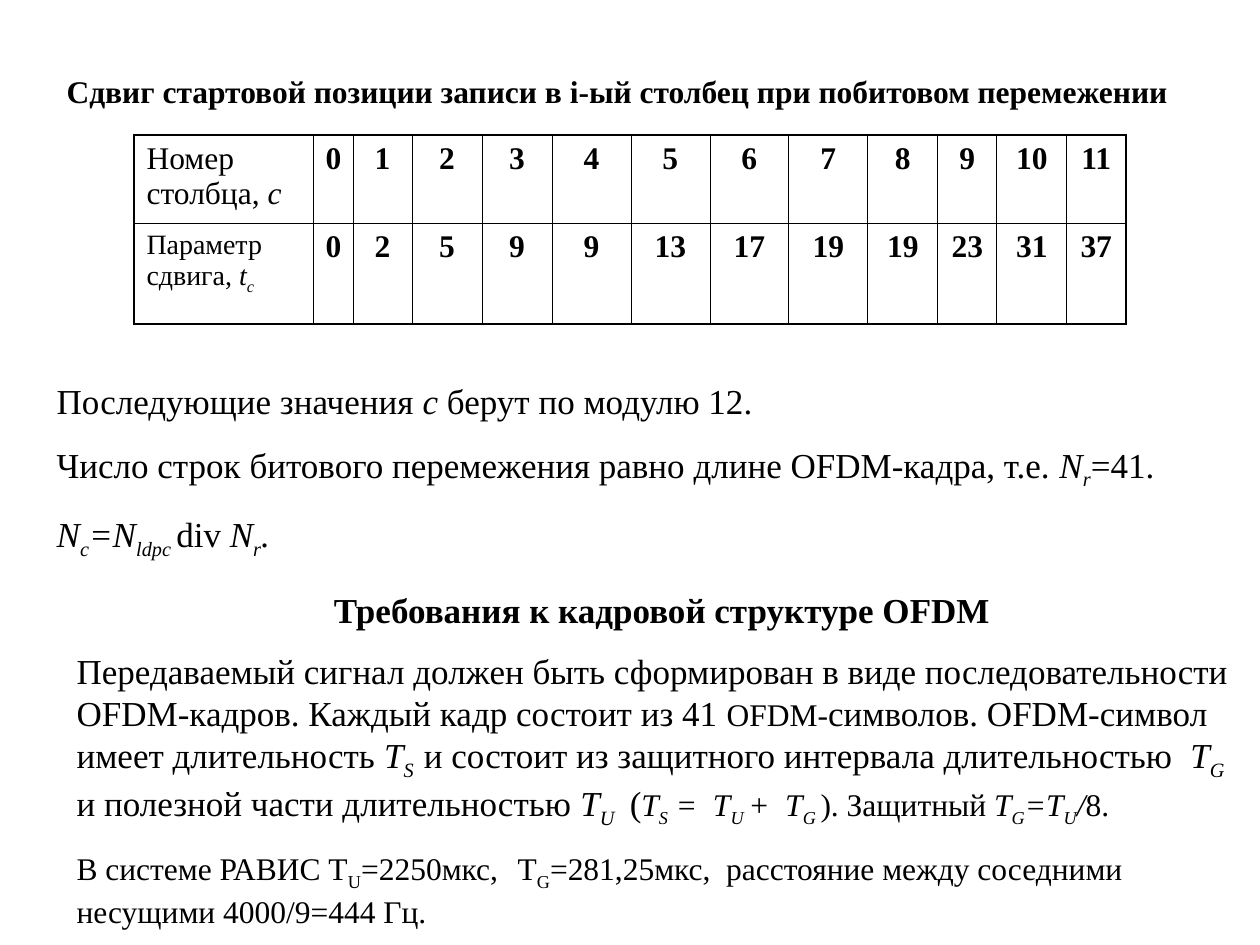
from lxml import etree
from pptx import Presentation
from pptx.dml.color import RGBColor
from pptx.enum.text import MSO_ANCHOR, MSO_AUTO_SIZE, PP_ALIGN
from pptx.oxml.ns import qn
from pptx.util import Pt

LEFT, MID = PP_ALIGN.LEFT, PP_ALIGN.CENTER
TOP = MSO_ANCHOR.TOP
GROW = MSO_AUTO_SIZE.SHAPE_TO_FIT_TEXT
FACE = "Times New Roman"
HUES = {"ink": "000000"}
PX = 914400 / 126
THIN, BOLD = 0.45, 1.08

# Run flags: b bold, i italic, s subscript, m 18 pt
TITLE = [(LEFT, 18, 11.2, [
    ("Сдвиг стартовой позиции записи в i-ый столбец при побитовом перемежении", "b")])]
NOTES = [
    (LEFT, 20, 12.5, [("Последующие значения ", ""), ("с ", "i"),
                      ("берут по модулю 12.", "")]),
    (LEFT, 20, 12.5, [
        ("Число строк битового перемежения равно длине OFDM-кадра, т.е. ", ""),
        ("N", "i"), ("r", "is"), ("=41.", "")]),
    (LEFT, 20, 12.5, [("N", "i"), ("c", "is"), ("=N", "i"), ("ldpc ", "is"),
                      ("div", ""), (" N", "i"), ("r", "is"), (".", "i")]),
]
FRAME = [
    (MID, 20, 12.5, [("Требования к кадровой структуре OFDM", "b")]),
    (LEFT, 20, 11.2, [
        ("Передаваемый сигнал должен быть сформирован в виде последовательности "
         "OFDM-кадров. Каждый кадр состоит из 41 ", ""),
        ("OFDM-", "m"), ("символов. OFDM-символ имеет длительность ", ""),
        ("T", "i"), ("S  ", "is"),
        ("и состоит из защитного интервала длительностью", ""),
        ("  T", "i"), ("G   ", "is"), ("и полезной части длительностью ", ""),
        ("T", "i"), ("U   ", "is"), ("(", ""),
        ("T", "im"), ("S", "ism"), (" =  T", "im"), ("U ", "ism"),
        ("+  T", "im"), ("G ", "ism"), ("). Защитный ", "m"),
        ("T", "im"), ("G", "ism"), ("=T", "im"), ("U", "ism"),
        ("/", "im"), ("8.", "m")]),
    (LEFT, 18, 11.2, [
        ("В системе РАВИС T", ""), ("U", "s"), ("=2250мкс,\tT", ""), ("G", "s"),
        ("=281,25мкс,  расстояние между соседними несущими 4000/9=444 Гц.", "")]),
]
TEXTS = [
    (0, (54, 66, 1150, 50), TITLE),
    (1, (44, 373, 1150, 194), NOTES),
    (2, (64, 582, 1196, 354), FRAME),
]
TAB = 452

HEADS = [
    (18, 4.5, [("Номер столбца, ", ""), ("с", "i")]),
    (16, 4, [("Параметр сдвига, ", ""), ("t", "i"), ("c", "is")]),
]
SHIFTS = [range(12), (0, 2, 5, 9, 9, 13, 17, 19, 19, 23, 31, 37)]
COLS = (179, 40, 59, 70, 70, 79, 79, 79, 79, 70, 59, 70, 59)
ROWS = (88, 101)
GRID = (134, 135)


def emu(n):
    return round(n * PX)


def put(obj, vals):
    for key, val in vals.items():
        setattr(obj, key, val)


def write(para, align, size, gap, runs):
    put(para, {"alignment": align, "space_before": Pt(gap)})
    for text, flags in runs:
        run = para.add_run()
        run.text = text
        put(run.font, {"name": FACE, "size": Pt(18 if "m" in flags else size),
                       "bold": "b" in flags, "italic": "i" in flags})
        run.font.color.rgb = RGBColor.from_string(HUES["ink"])
        if "s" in flags:
            run.font._element.set("baseline", "-25000")


def plain(para):
    props = para._p.get_or_add_pPr()
    props.set("marL", "0")
    props.set("indent", "0")
    etree.SubElement(props, qn("a:buNone"))
    tabs = etree.SubElement(props, qn("a:tabLst"))
    etree.SubElement(tabs, qn("a:tab"), pos=str(emu(TAB)), algn="l")


def edge(cell, sides):
    props = cell._tc.get_or_add_tcPr()
    for spot, (side, width) in enumerate(sides.items()):
        line = etree.Element(qn("a:ln" + side), w=str(Pt(width)))
        fill = etree.SubElement(line, qn("a:solidFill"))
        etree.SubElement(fill, qn("a:srgbClr"), val=HUES["ink"])
        props.insert(spot, line)


def fill_box(slide, slot, box, paras):
    shape = slide.placeholders[slot]
    put(shape, dict(zip(("left", "top", "width", "height"), map(emu, box))))
    frame = shape.text_frame
    put(frame, {"word_wrap": True, "auto_size": GROW, "vertical_anchor": TOP})
    for n, spec in enumerate(paras):
        para = frame.add_paragraph() if n else frame.paragraphs[0]
        write(para, *spec)
        plain(para)


def add_grid(slide):
    rows, cols = len(ROWS), len(COLS)
    area = (*GRID, sum(COLS), sum(ROWS))
    table = slide.shapes.add_table(rows, cols, *map(emu, area)).table
    put(table, {"first_row": False, "horz_banding": False})
    for col, width in zip(table.columns, COLS):
        col.width = emu(width)
    for r, (head, shifts) in enumerate(zip(HEADS, SHIFTS)):
        table.rows[r].height = emu(ROWS[r])
        specs = [(LEFT, *head)]
        specs += [(MID, 18, 4.5, [(str(n), "b")]) for n in shifts]
        for c, spec in enumerate(specs):
            cell = table.cell(r, c)
            write(cell.text_frame.paragraphs[0], *spec)
            cell.fill.background()
            outer = {"L": c == 0, "R": c == cols - 1,
                     "T": r == 0, "B": r == rows - 1}
            edge(cell, {s: BOLD if out else THIN for s, out in outer.items()})


def main():
    deck = Presentation()
    put(deck, {"slide_width": emu(1260), "slide_height": emu(945)})
    slide = deck.slides.add_slide(deck.slide_layouts[3])
    for spec in TEXTS:
        fill_box(slide, *spec)
    add_grid(slide)
    deck.save("out.pptx")


if __name__ == "__main__":
    main()
